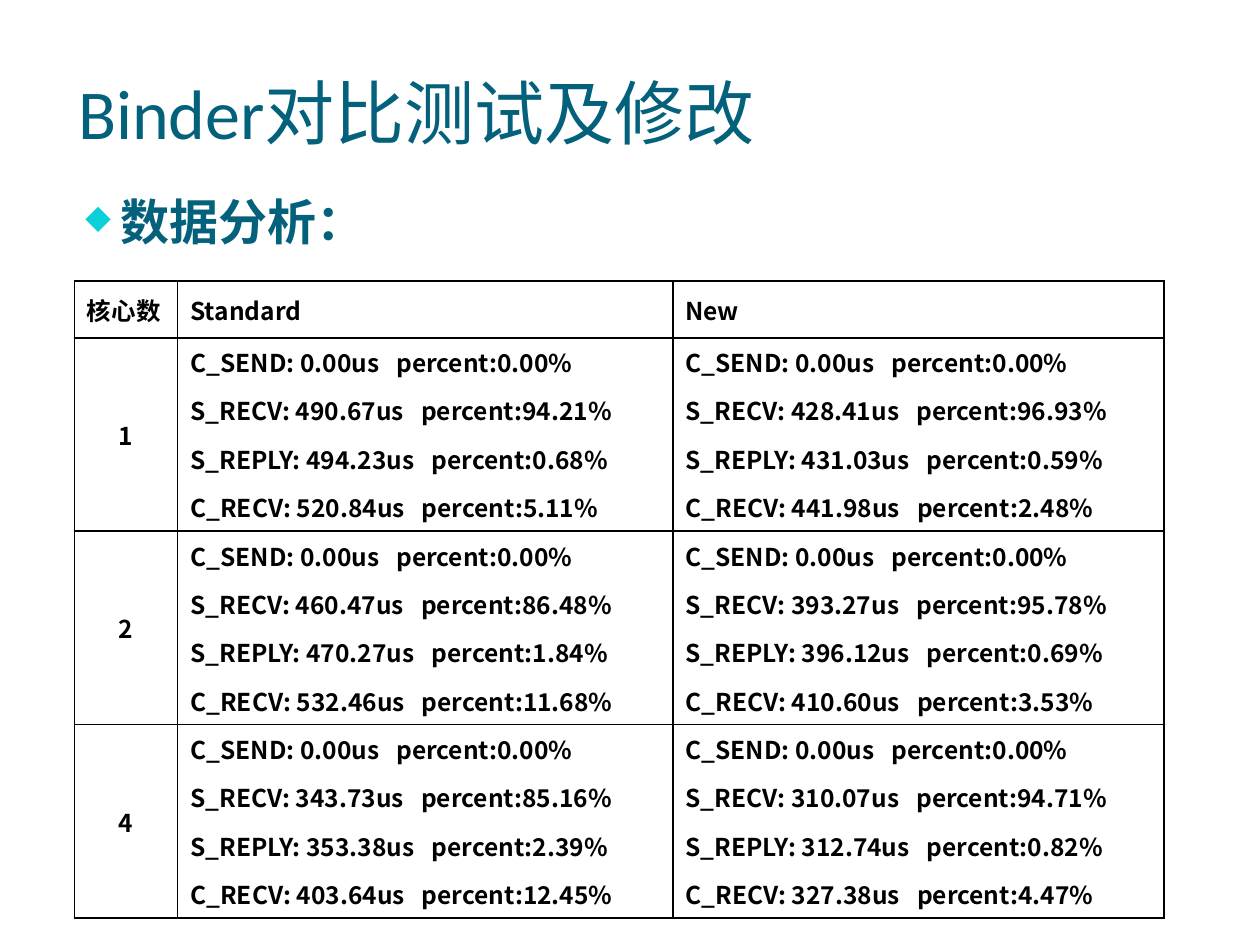
from lxml import etree
from pptx import Presentation
from pptx import util as u
from pptx.dml.color import RGBColor
from pptx.enum import text
from pptx.oxml import ns

TEAL = RGBColor(0x04, 0x61, 0x7B)
CYAN = RGBColor(0x0B, 0xD0, 0xD9)
BLACK = RGBColor(0, 0, 0)
LATIN, CJK = "Calibri", "Noto Sans CJK SC"
PLAIN_TABLE = "{2D5ABB26-0587-4C30-8999-92F81FD0307C}"

STAGES = ("C_SEND", "S_RECV", "S_REPLY", "C_RECV")
HEADERS = ("核心数", "Standard", "New")
RESULTS = {
    "1": (
        (("0.00", "0.00"), ("490.67", "94.21"), ("494.23", "0.68"), ("520.84", "5.11")),
        (("0.00", "0.00"), ("428.41", "96.93"), ("431.03", "0.59"), ("441.98", "2.48")),
    ),
    "2": (
        (("0.00", "0.00"), ("460.47", "86.48"), ("470.27", "1.84"), ("532.46", "11.68")),
        (("0.00", "0.00"), ("393.27", "95.78"), ("396.12", "0.69"), ("410.60", "3.53")),
    ),
    "4": (
        (("0.00", "0.00"), ("343.73", "85.16"), ("353.38", "2.39"), ("403.64", "12.45")),
        (("0.00", "0.00"), ("310.07", "94.71"), ("312.74", "0.82"), ("327.38", "4.47")),
    ),
}


def add_xml(parent, tag, **attrs):
    return etree.SubElement(parent, ns.qn(tag), attrs)


class Deck:
    """Holds the text and table style together with the current slide."""

    def __init__(self, prs):
        self.slide = prs.slides.add_slide(prs.slide_layouts[6])

    def style(self, p, size, color, font=CJK, bold=True):
        for r in p.runs:
            r.font.size = u.Pt(size)
            r.font.bold = bold
            r.font.name = font
            r.font.color.rgb = color
            add_xml(r.font._element, "a:ea", typeface=CJK)

    def textbox(self, box, content, anchor, inset):
        sp = self.slide.shapes.add_textbox(*map(u.Inches, box))
        tf = sp.text_frame
        tf.word_wrap = True
        tf.vertical_anchor = anchor
        tf.margin_left, tf.margin_right, tf.margin_bottom = map(u.Inches, inset)
        p = tf.paragraphs[0]
        p.text = content
        return p

    def title(self, content):
        box = (0.5, -0.02, 9, 1.24)
        p = self.textbox(box, content, text.MSO_ANCHOR.BOTTOM, (0.12, 0, 0))
        self.style(p, 40, TEAL, LATIN, False)

    def bullet(self, content):
        box = (0.5, 1.47, 9, 5.45)
        p = self.textbox(box, content, text.MSO_ANCHOR.TOP, (0.1, 0.1, 0.05))
        self.style(p, 28, TEAL)
        p.space_before = u.Pt(7)
        pPr = p._p.get_or_add_pPr()
        pPr.set("marL", str(u.Inches(0.36)))
        pPr.set("indent", str(u.Inches(-0.28)))
        add_xml(add_xml(pPr, "a:buClr"), "a:srgbClr", val=str(CYAN))
        add_xml(pPr, "a:buSzPct", val="68000")
        add_xml(pPr, "a:buChar", char="◆")

    def borders(self, cell, sides):
        tcPr = cell._tc.get_or_add_tcPr()
        for side in "LRTB":
            ln = add_xml(tcPr, f"a:ln{side}", w=str(u.Pt(1.08)))
            if side in sides:
                add_xml(add_xml(ln, "a:solidFill"), "a:srgbClr", val=str(BLACK))
            else:
                add_xml(ln, "a:noFill")
        cell.fill.background()

    def cell(self, cell, *parts, align=text.PP_ALIGN.LEFT):
        cell.vertical_anchor = text.MSO_ANCHOR.MIDDLE
        p = cell.text_frame.paragraphs[0]
        p.alignment = align
        p.space_before = u.Pt(3.5)
        for i, part in enumerate(parts):
            if i:
                gap = p.add_run()
                gap.text = " "
                gap.font._element.set("spc", "640")
            p.add_run().text = part
        self.style(p, 14, BLACK)

    def table(self, box, widths, header_height):
        step = len(STAGES)
        count = step * len(RESULTS)
        row_height = (box[3] - header_height) / count
        size = (count + 1, len(widths))
        tbl = self.slide.shapes.add_table(*size, *map(u.Inches, box)).table
        tbl.first_row = tbl.horz_banding = False
        tbl._tbl.tblPr.find(ns.qn("a:tableStyleId")).text = PLAIN_TABLE
        for col, width in zip(tbl.columns, widths):
            col.width = u.Inches(width)
        for i, row in enumerate(tbl.rows):
            row.height = u.Inches(row_height if i else header_height)
            top = "T" if i == 0 or i % step == 1 else ""
            bottom = "B" if i % step == 0 else ""
            for j, cell in enumerate(row.cells):
                whole = j == 0 and top
                self.borders(cell, "LRTB" if whole else "LR" + top + bottom)
        for j, name in enumerate(HEADERS):
            self.cell(tbl.cell(0, j), name)
        for g, (cores, builds) in enumerate(RESULTS.items()):
            first = 1 + g * step
            tbl.cell(first, 0).merge(tbl.cell(first + step - 1, 0))
            self.cell(tbl.cell(first, 0), cores, align=text.PP_ALIGN.CENTER)
            for j, timings in enumerate(builds, 1):
                for k, (stage, (time, share)) in enumerate(zip(STAGES, timings)):
                    target = tbl.cell(first + k, j)
                    self.cell(target, f"{stage}: {time}us", f"percent:{share}%")


def main():
    prs = Presentation()
    prs.slide_width, prs.slide_height = u.Inches(10), u.Inches(7.5)
    deck = Deck(prs)
    deck.title("Binder对比测试及修改")
    deck.bullet("数据分析：")
    deck.table((0.59, 2.23, 8.65, 5.06), (0.82, 3.93, 3.9), 0.45)
    prs.save("out.pptx")


if __name__ == "__main__":
    main()
